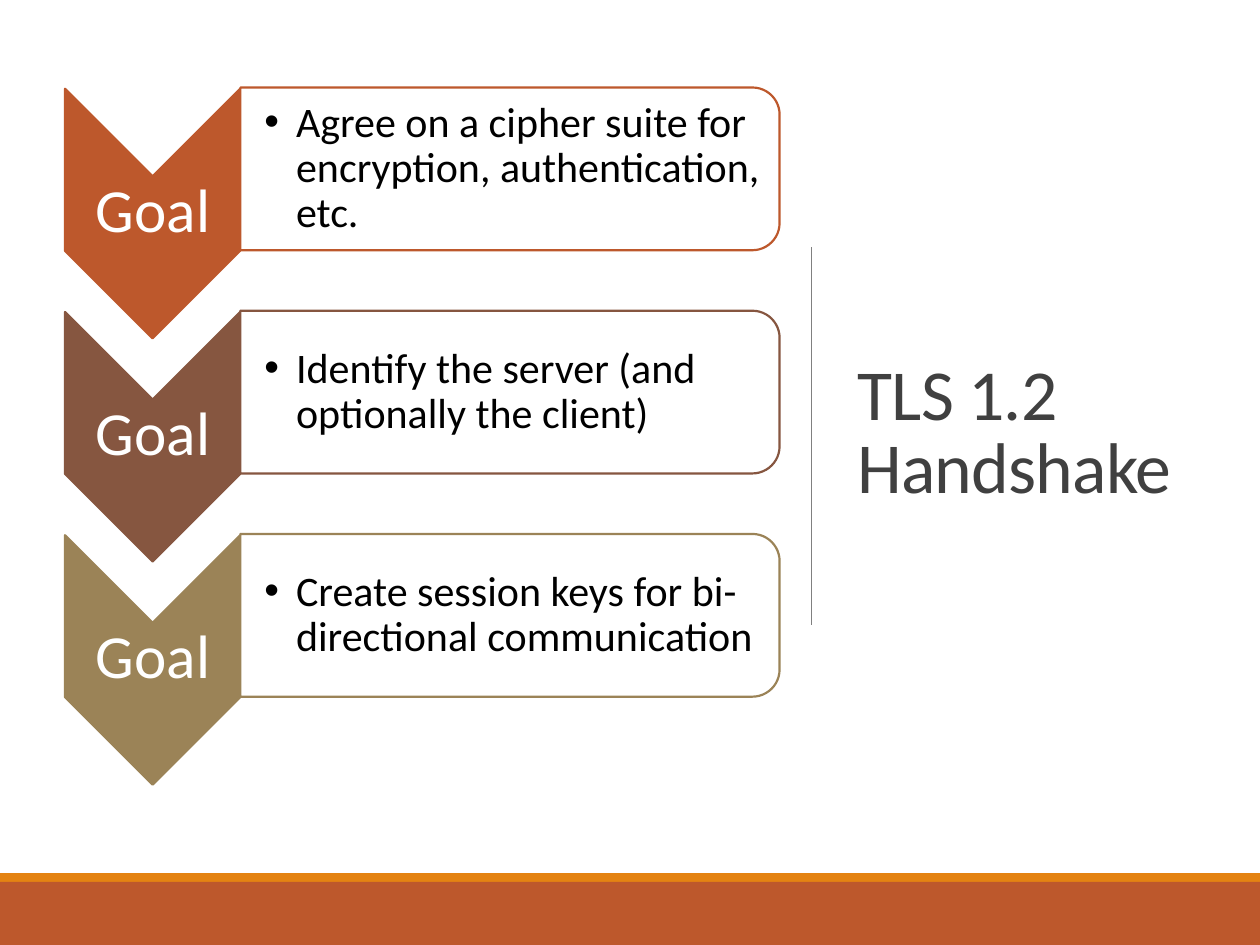
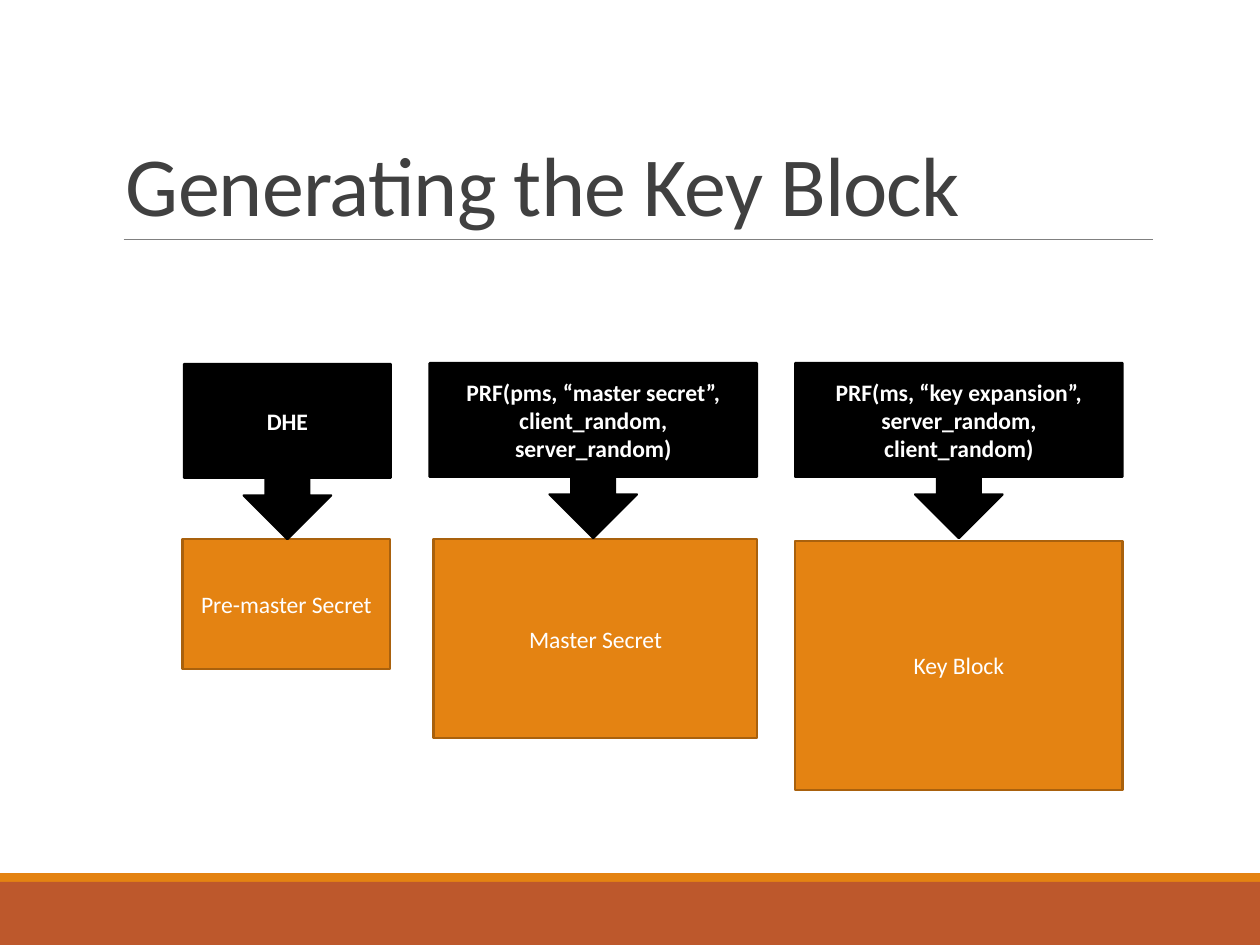
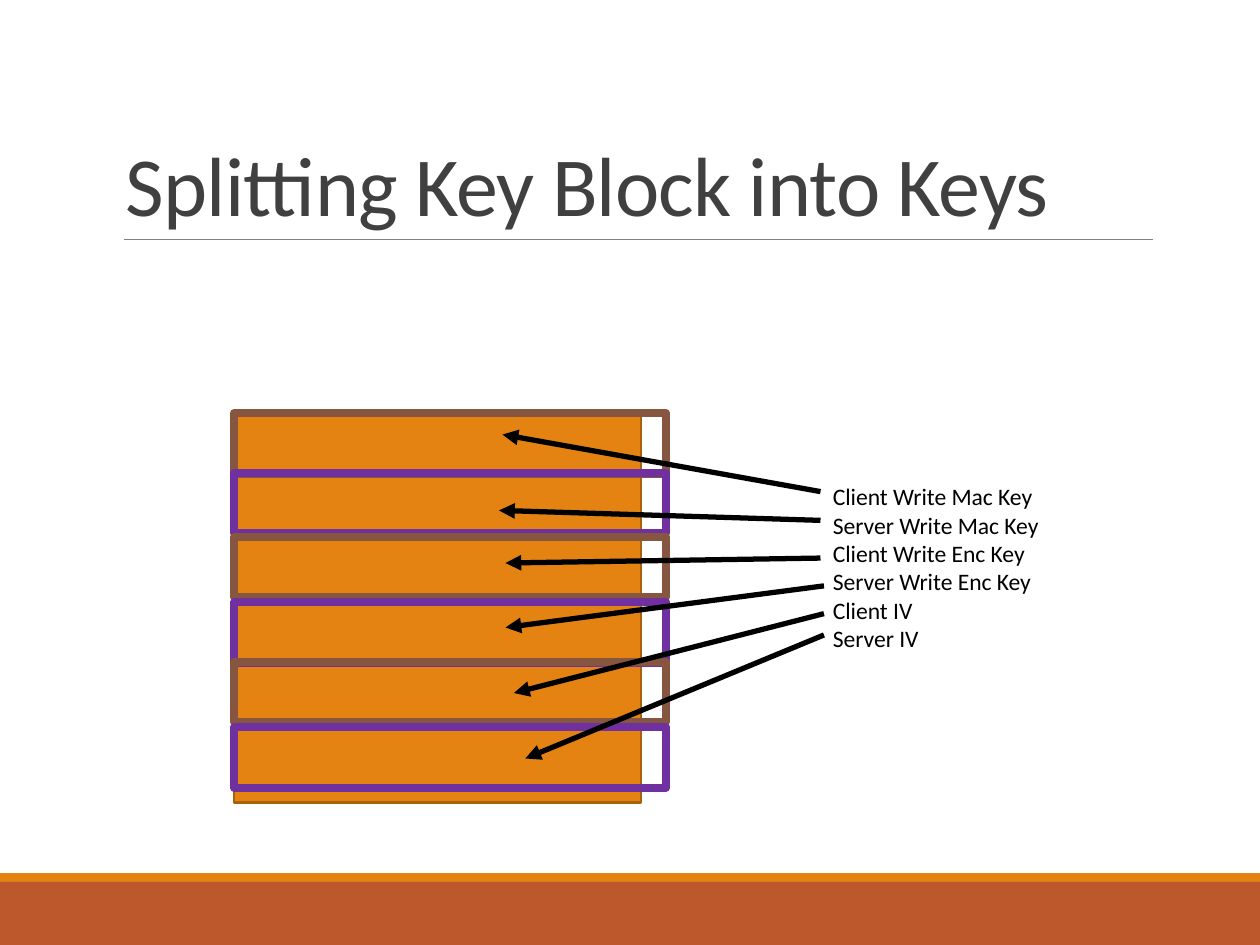
from dataclasses import dataclass

from lxml.etree import SubElement
from pptx import Presentation
from pptx.dml.color import RGBColor
from pptx.enum.shapes import MSO_CONNECTOR, MSO_SHAPE
from pptx.enum.text import MSO_ANCHOR, PP_ALIGN
from pptx.oxml.ns import qn
from pptx.util import Cm, Pt


@dataclass(frozen=True)
class Theme:
    """Colours, type sizes and the font of the whole deck."""
    font: str = "Calibri"
    white: str = "FFFFFF"
    black: str = "000000"
    heading: str = "404040"
    rule: str = "808080"
    orange: str = "E48312"
    dark_orange: str = "A9610D"
    rust: str = "BD582C"
    brown: str = "865640"
    khaki: str = "9B8357"
    purple: str = "7030A0"
    title_size: float = 48
    side_title_size: float = 41
    goal_size: float = 35
    bullet_size: float = 24
    label_size: float = 13.5
    hairline: float = 0.5
    outline: float = 1.25
    arrow: float = 3
    frame: float = 4.5


def set_values(target, values):
    """Set every named attribute of the target."""
    for name, value in values.items():
        setattr(target, name, value)


class Composer:
    """Draws styled elements on the current page, in centimetres."""

    def __init__(self, theme):
        """Start an empty deck of 4:3 pages."""
        self.theme = theme
        self.deck = Presentation()
        set_values(self.deck, {"slide_width": Cm(25.4), "slide_height": Cm(19.05)})
        self.page = None

    def new_page(self):
        """Add a blank page with the two bands at its foot."""
        self.page = self.deck.slides.add_slide(self.deck.slide_layouts[6])
        self.shape(MSO_SHAPE.RECTANGLE, (0, 17.6, 25.4, 0.18), self.theme.orange)
        self.shape(MSO_SHAPE.RECTANGLE, (0, 17.78, 25.4, 1.27), self.theme.rust)

    def titled_page(self, title):
        """Add a page with a title above a thin rule."""
        self.new_page()
        self.title(title, (2.29, 0.79, 20.96, 4.04), self.theme.title_size, MSO_ANCHOR.BOTTOM)
        self.line((2.49, 4.83), (23.24, 4.83), self.theme.rule, self.theme.hairline)

    def shape(self, kind, box, fill=None, line=None, width=None, rotation=0):
        """Add a preset shape, hollow or without outline where no colour is given."""
        shape = self.page.shapes.add_shape(kind, *map(Cm, box))
        shape.shadow.inherit = False
        shape.rotation = rotation
        if fill:
            shape.fill.solid()
            shape.fill.fore_color.rgb = RGBColor.from_string(fill)
        else:
            shape.fill.background()
        if line:
            shape.line.color.rgb = RGBColor.from_string(line)
            shape.line.width = Pt(width or self.theme.outline)
        else:
            shape.line.fill.background()
        return shape

    def fill_text(self, shape, lines, size, color, frame=None, para=None, font=None, bullet=False):
        """Fill a shape with one paragraph per line and return the spans."""
        set_values(shape.text_frame, {"word_wrap": True} | (frame or {}))
        shape.text_frame.text = "\n".join(lines)
        spans = []
        for paragraph in shape.text_frame.paragraphs:
            if bullet:
                self.bullet(paragraph)
            set_values(paragraph, {"alignment": PP_ALIGN.LEFT} | (para or {}))
            span = paragraph.runs[0]
            set_values(span.font, {"name": self.theme.font, "size": Pt(size)} | (font or {}))
            span.font.color.rgb = RGBColor.from_string(color)
            spans.append(span)
        return spans

    def bullet(self, para):
        """Give a paragraph a hanging round bullet."""
        properties = para._p.get_or_add_pPr()
        properties.set("marL", str(Cm(0.64)))
        properties.set("indent", str(-Cm(0.64)))
        SubElement(properties, qn("a:buFont")).set("typeface", "Arial")
        SubElement(properties, qn("a:buChar")).set("char", "•")

    def text(self, lines, box, size, color, **formats):
        """Add a text box."""
        shape = self.page.shapes.add_textbox(*map(Cm, box))
        return self.fill_text(shape, lines, size, color, **formats)

    def title(self, title, box, size, anchor):
        """Add a tightly set title."""
        spans = self.text([title], box, size, self.theme.heading,
                          frame={"vertical_anchor": anchor}, para={"line_spacing": 0.85})
        spans[0]._r.get_or_add_rPr().set("spc", "-50")

    def block(self, kind, lines, box, fill, line, bold=False):
        """Add a filled shape with a centred label."""
        shape = self.shape(kind, box, fill, line)
        self.fill_text(shape, lines, self.theme.label_size, self.theme.white,
                       frame={"vertical_anchor": MSO_ANCHOR.MIDDLE},
                       para={"alignment": PP_ALIGN.CENTER}, font={"bold": bold})

    def line(self, start, end, color, width, arrow=False):
        """Add a straight line, with an arrowhead at its end if wanted."""
        line = self.page.shapes.add_connector(MSO_CONNECTOR.STRAIGHT, *map(Cm, start + end))
        line.line.color.rgb = RGBColor.from_string(color)
        line.line.width = Pt(width)
        if arrow:
            SubElement(line.line._get_or_add_ln(), qn("a:tailEnd")).set("type", "triangle")
        SubElement(line._element.spPr, qn("a:effectLst"))

    def goal(self, top, color, goal):
        """Add a downward chevron and the rounded panel beside it."""
        theme = self.theme
        tight = dict.fromkeys(("margin_left", "margin_right", "margin_top", "margin_bottom"), Cm(0.05))
        middle = tight | {"vertical_anchor": MSO_ANCHOR.MIDDLE}
        self.shape(MSO_SHAPE.CHEVRON, (0.56, top + 0.75, 5.03, 3.53), color, color, rotation=90)
        self.text(["Goal"], (1.32, top + 1.74, 3.53, 1.5), theme.goal_size, theme.white,
                  frame=middle, para={"alignment": PP_ALIGN.CENTER, "line_spacing": 0.9})
        self.shape(MSO_SHAPE.ROUND_2_SAME_RECTANGLE, (8.64, top - 3.82, 3.28, 10.87),
                   theme.white, color, rotation=90)
        self.text([goal], (4.85, top + 0.14, 10.72, 2.95), theme.bullet_size, theme.black,
                  frame=middle | {"margin_left": Cm(0.48)}, para={"line_spacing": 0.9}, bullet=True)


def handshake_page(composer):
    """Draw the three goals of the handshake."""
    theme = composer.theme
    composer.new_page()
    composer.title("TLS 1.2 Handshake", (17.04, 1.75, 7.04, 14.05),
                   theme.side_title_size, MSO_ANCHOR.MIDDLE)
    composer.line((16.36, 4.98), (16.36, 12.6), theme.rule, theme.hairline)
    goals = (
        (theme.rust, "Agree on a cipher suite for encryption, authentication, etc."),
        (theme.brown, "Identify the server (and optionally the client)"),
        (theme.khaki, "Create session keys for bi-directional communication"),
    )
    for index, (color, goal) in enumerate(goals):
        composer.goal(1.79 + 4.5 * index, color, goal)


def key_block_page(composer):
    """Draw each derivation above the secret that it yields."""
    theme = composer.theme
    composer.titled_page("Generating the Key Block")
    steps = (
        (["DHE"], (3.71, 7.34, 4.17, 3.53),
         "Pre-master Secret", (3.68, 10.87, 4.19, 2.62)),
        (["PRF(pms, “master secret”,", "client_random, server_random)"], (8.66, 7.32, 6.6, 3.53),
         "Master Secret", (8.74, 10.87, 6.53, 4.01)),
        (["PRF(ms, “key expansion”,", "server_random, client_random)"], (16.03, 7.32, 6.6, 3.53),
         "Key Block", (16.03, 10.9, 6.6, 5.03)),
    )
    for derivation, callout, secret, box in steps:
        composer.block(MSO_SHAPE.RECTANGLE, [secret], box, theme.orange, theme.dark_orange)
        composer.block(MSO_SHAPE.DOWN_ARROW_CALLOUT, derivation, callout,
                       theme.black, theme.black, bold=True)


def split_page(composer):
    """Draw the key block cut into six named keys."""
    theme = composer.theme
    composer.titled_page("Splitting Key Block into Keys")
    composer.shape(MSO_SHAPE.RECTANGLE, (4.72, 8.33, 8.2, 7.85), theme.orange, theme.dark_orange)
    keys = (
        ("Client Write Mac Key", 8.33, (16.54, 9.91), (10.13, 8.76)),
        ("Server Write Mac Key", 9.53, (16.54, 10.49), (10.06, 10.29)),
        ("Client Write Enc Key", 10.82, (16.54, 11.25), (10.19, 11.35)),
        ("Server Write Enc Key", 12.14, (16.61, 11.81), (10.19, 12.65)),
        ("Client IV", 13.34, (16.61, 12.37), (10.36, 13.97)),
        ("Server IV", 14.66, (16.61, 12.8), (10.59, 15.29)),
    )
    for index, (_, top, _, _) in enumerate(keys):
        color = (theme.brown, theme.purple)[index % 2]
        composer.shape(MSO_SHAPE.RECTANGLE, (4.72, top, 8.71, 1.22), line=color, width=theme.frame)
    composer.text([key[0] for key in keys], (16.54, 9.6, 7.98, 3.71), theme.label_size, theme.black)
    for _, _, start, end in keys:
        composer.line(start, end, theme.black, theme.arrow, arrow=True)


def main():
    """Build and save the deck."""
    composer = Composer(Theme())
    for draw in (handshake_page, key_block_page, split_page):
        draw(composer)
    composer.deck.save("out.pptx")


if __name__ == "__main__":
    main()
